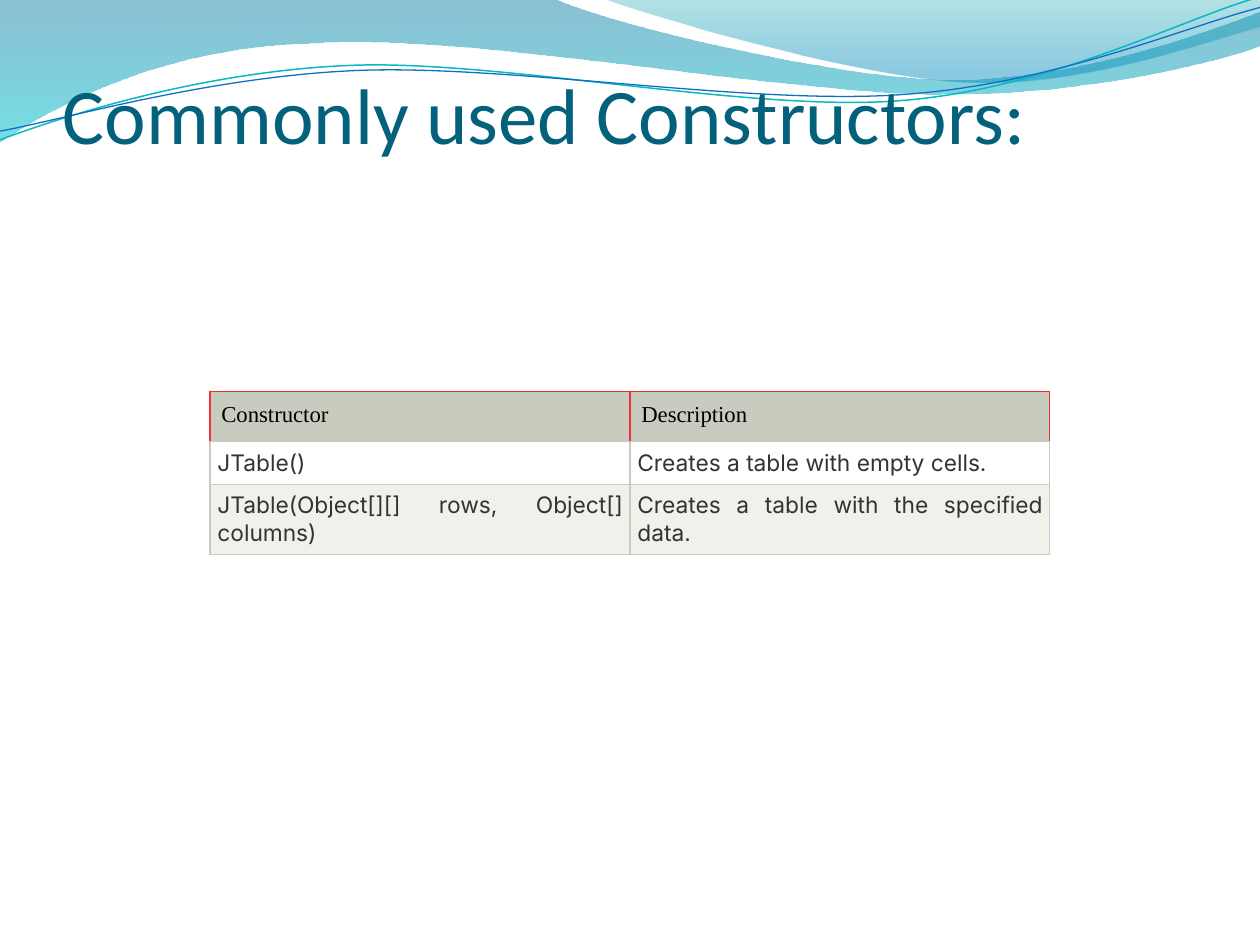
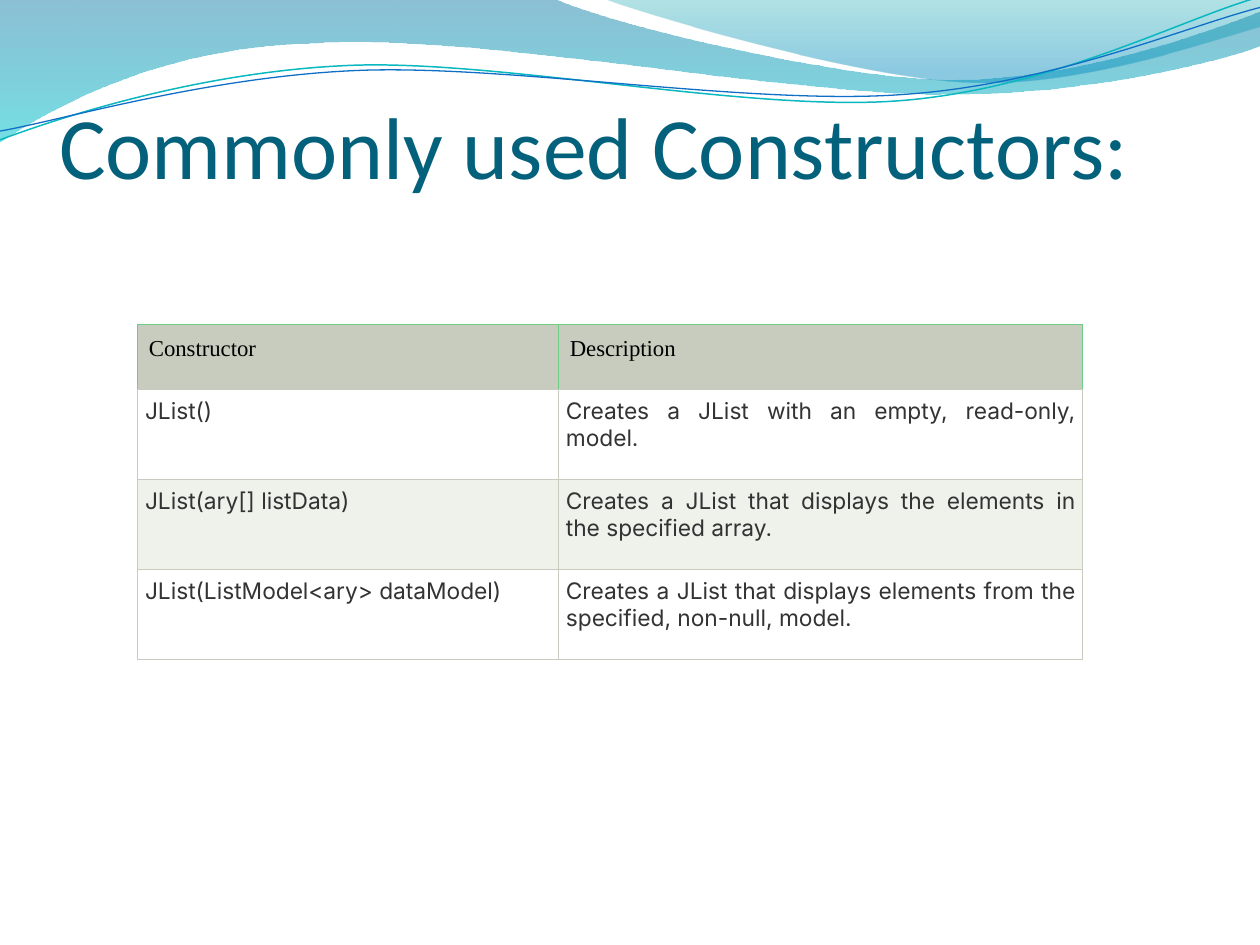
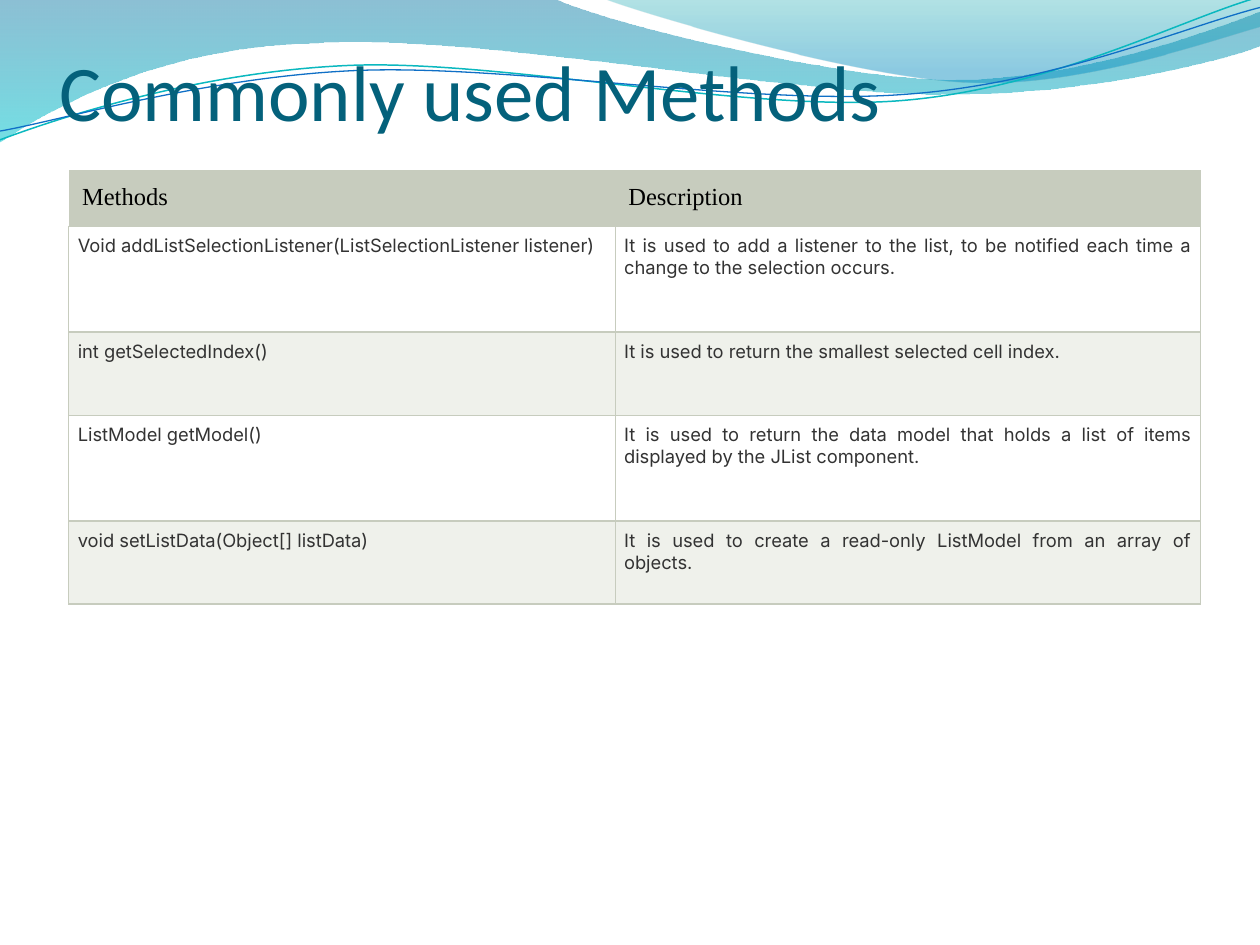
from dataclasses import dataclass
from math import cos, radians, sin
from typing import Optional

from lxml.etree import SubElement as Sub
from pptx import Presentation
from pptx.dml.color import RGBColor as Rgb
from pptx.enum.text import MSO_ANCHOR as Anchor, PP_ALIGN as Align
from pptx.oxml.ns import qn
from pptx.util import Pt


@dataclass(frozen=True)
class Theme:
    title: str = "04617B"
    head: str = "000000"
    body: str = "333333"
    band: str = "C7CCBE"
    rows: tuple = ("FFFFFF", "EFF1EB")
    red: str = "F02E38"
    green: str = "70CD86"
    sans: str = "Calibri"
    serif: str = "Times New Roman"
    text: str = "Inter"
    big: float = 50
    mid: float = 45
    cell: float = 13
    top: float = 14
    small: float = 10.5
    rule: float = 0.75


THEME = Theme()


@dataclass(frozen=True)
class Stop:
    color: str
    spot: float
    alpha: int


@dataclass(frozen=True)
class Wave:
    start: tuple
    steps: tuple
    stops: tuple = ()
    line: str = ""
    width: float = 0
    pivot: tuple = (0, 0)
    tilt: float = 0


@dataclass(frozen=True)
class Title:
    text: str
    box: tuple
    size: float
    foot: float = 0


@dataclass(frozen=True)
class Grid:
    spot: tuple
    cols: tuple
    highs: tuple
    rows: tuple
    pads: tuple
    sizes: tuple
    edge: str = ""


WAVES = (
    Wave((0, 0), (
        (316.8, -0.7),
        (342.7, 12.2, 478.1, 45.4, 545.8, 45.4),
        (614.2, 45.4, 689.8, 18.7, 720, 6.5),
        (720.7, 25.9),
        (707.8, 31.7, 626.4, 54.7, 537.1, 54),
        (447.8, 54, 275, 20.2, 185, 24.5),
        (92.9, 25.9, 33.1, 59.8, -0.7, 81.4),
        (0, 0),
    ), stops=(Stop("0074A1", 0, 45), Stop("00C6CF", 1, 55))),
    Wave((344.9, -0.7), (
        (366.5, 7.9, 491, 44.6, 553.7, 46.8),
        (616.3, 49.7, 691.9, 23, 720, 15.1),
        (720, 0),
        (344.9, -0.7),
    ), stops=(Stop("00A1A9", 0, 30), Stop("008BBF", 0.8, 45))),
    Wave((0, 79.9), (
        (34.6, 67, 113.8, 41, 199.4, 37.4),
        (284.4, 33.8, 427, 64.1, 513.4, 57.6),
        (599.8, 51.1, 675.4, 10.8, 718.6, -1.4),
    ), line="0AB8BF", width=0.85, pivot=(359.3, 41.4), tilt=2.7),
    Wave((0, 74.9), (
        (33.8, 69.1, 118.1, 43.9, 203.8, 40.3),
        (290.2, 36.7, 429.8, 60.5, 516.2, 54),
        (601.9, 48.2, 677.5, 15.1, 720, 4.3),
    ), line="0F6FC6", width=0.75, pivot=(359.6, 42.5), tilt=2.7),
)

PAGES = (
    (
        Title("Commonly used Constructors:", (36, 55.4, 648, 90), THEME.mid,
              53.7),
        Grid((120, 223.5), (240, 240), (28.8, 24.5, 40), (
            ("Constructor", "Description"),
            ("JTable()", "Creates a table with empty cells."),
            ("JTable(Object[][] rows, Object[] columns)",
             "Creates a table with the specified data."),
        ), (6.5, 4.3), (THEME.cell, THEME.cell), THEME.red),
    ),
    (
        Title("Commonly used Constructors:", (33.8, 22.3, 648, 90), THEME.big),
        Grid((78.6, 185.5), (240.5, 299.5), (37.2, 51.4, 51.4, 51.4), (
            ("Constructor", "Description"),
            ("JList()", "Creates a JList with an empty, read-only, model."),
            ("JList(ary[] listData)",
             "Creates a JList that displays the elements in the specified array."),
            ("JList(ListModel<ary> dataModel)",
             "Creates a JList that displays elements from the specified, "
             "non-null, model."),
        ), (6.5, 4.3), (THEME.cell, THEME.cell), THEME.green),
    ),
    (
        Title("Commonly used Methods", (33.8, 22.3, 648, 56.2), THEME.mid),
        Grid((39.3, 97.2), (312.2, 334.6), (24.5, 60.5, 47.5, 60.5, 47.5), (
            ("Methods", "Description"),
            ("Void addListSelectionListener(ListSelectionListener listener)",
             "It is used to add a listener to the list, to be notified each "
             "time a change to the selection occurs."),
            ("int getSelectedIndex()",
             "It is used to return the smallest selected cell index."),
            ("ListModel getModel()",
             "It is used to return the data model that holds a list of items "
             "displayed by the JList component."),
            ("void setListData(Object[] listData)",
             "It is used to create a read-only ListModel from an array of "
             "objects."),
        ), (7.6, 5.2), (THEME.top, THEME.small)),
    ),
)


def turn(wave: Wave, x: float, y: float) -> tuple:
    angle = radians(wave.tilt)
    px, py = wave.pivot
    dx, dy = x - px, y - py
    return (Pt(px + dx * cos(angle) - dy * sin(angle)),
            Pt(py + dx * sin(angle) + dy * cos(angle)))


def bend(shape, wave: Wave) -> None:
    lines = iter(list(shape.element.iter(qn("a:lnTo"))))
    for step in wave.steps:
        line = next(lines)
        if len(step) == 6:
            line.tag = qn("a:cubicBezTo")
            for extra in (next(lines), next(lines)):
                line.append(extra[0])
                extra.getparent().remove(extra)


def draw_wave(slide, wave: Wave):
    dots = [turn(wave, *step[i:i + 2])
            for step in wave.steps for i in range(0, len(step), 2)]
    form = slide.shapes.build_freeform(*turn(wave, *wave.start), scale=1.0)
    form.add_line_segments(dots, close=bool(wave.stops))
    shape = form.convert_to_shape()
    bend(shape, wave)
    shape.rotation = -wave.tilt
    shape.shadow.inherit = False
    if not wave.stops:
        shape.fill.background()
        shape.line.color.rgb = Rgb.from_string(wave.line)
        shape.line.width = Pt(wave.width)
        return shape
    shape.line.fill.background()
    shape.fill.gradient()
    shape.fill.gradient_angle = 270
    for stop, mark in zip(wave.stops, shape.fill.gradient_stops):
        mark.color.rgb = Rgb.from_string(stop.color)
        mark.position = stop.spot
    for stop, tint in zip(wave.stops, shape.element.iter(qn("a:srgbClr"))):
        Sub(tint, qn("a:alpha"), val=str(stop.alpha * 1000))
    return shape


def write(frame, text: str, font: str, size: float, color: str,
          align: Optional[Align] = None) -> None:
    para = frame.paragraphs[0]
    para.alignment = align
    run = para.add_run()
    run.text = text
    run.font.name = font
    run.font.size = Pt(size)
    run.font.color.rgb = Rgb.from_string(color)


def draw_title(slide, title: Title) -> None:
    frame = slide.shapes.add_textbox(*map(Pt, title.box)).text_frame
    frame.word_wrap = True
    frame.vertical_anchor = Anchor.BOTTOM
    frame.margin_left = frame.margin_right = 0
    frame.margin_top = Pt(3.6)
    frame.margin_bottom = Pt(title.foot)
    write(frame, title.text, THEME.sans, title.size, THEME.title)


def set_edges(cell, edge: str) -> None:
    props = cell._tc.get_or_add_tcPr()
    for side in "LRTB":
        color = THEME.band if side == "B" else edge
        line = Sub(props, qn(f"a:ln{side}"), w=str(Pt(THEME.rule)))
        if color:
            Sub(Sub(line, qn("a:solidFill")), qn("a:srgbClr"), val=color)
        else:
            Sub(line, qn("a:noFill"))


def draw_grid(slide, grid: Grid) -> None:
    size = (sum(grid.cols), sum(grid.highs))
    table = slide.shapes.add_table(
        len(grid.rows), len(grid.cols), *map(Pt, grid.spot + size)).table
    table.first_row = table.horz_banding = False
    for col, width in zip(table.columns, grid.cols):
        col.width = Pt(width)
    for r, (row, high) in enumerate(zip(grid.rows, grid.highs)):
        table.rows[r].height = Pt(high)
        head = r == 0
        pad = Pt(grid.pads[0 if head else 1])
        fill = THEME.band if head else THEME.rows[(r - 1) % 2]
        for c, text in enumerate(row):
            cell = table.cell(r, c)
            cell.margin_left = cell.margin_right = pad
            cell.margin_top = cell.margin_bottom = pad
            set_edges(cell, grid.edge if head else THEME.band)
            cell.fill.solid()
            cell.fill.fore_color.rgb = Rgb.from_string(fill)
            if head:
                write(cell.text_frame, text, THEME.serif, grid.sizes[0],
                      THEME.head)
            else:
                write(cell.text_frame, text, THEME.text, grid.sizes[1],
                      THEME.body, Align.JUSTIFY)


def main() -> None:
    deck = Presentation()
    deck.slide_width, deck.slide_height = Pt(720), Pt(540)
    blank = deck.slide_layouts[6]
    slides = [deck.slides.add_slide(blank) for _ in PAGES]
    for wave in WAVES:
        blank.shapes.element.append(draw_wave(slides[0], wave).element)
    for slide, (title, grid) in zip(slides, PAGES):
        draw_title(slide, title)
        draw_grid(slide, grid)
    deck.save("out.pptx")


if __name__ == "__main__":
    main()
